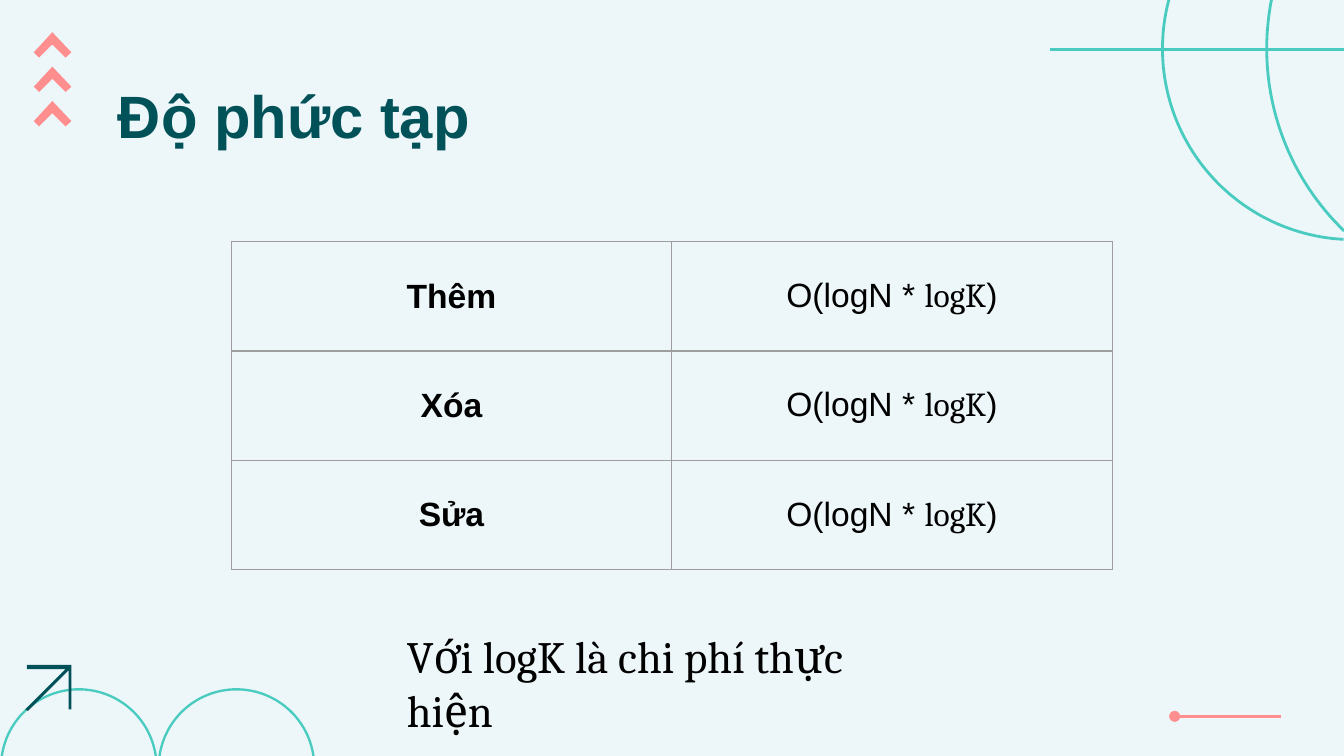
"""Build the complexity slide with its table and line ornaments."""
from math import cos, radians, sin

from lxml import etree
from pptx import Presentation
from pptx.dml.color import RGBColor
from pptx.enum.shapes import MSO_CONNECTOR
from pptx.enum.text import MSO_ANCHOR, MSO_AUTO_SIZE, PP_ALIGN
from pptx.oxml import parse_xml
from pptx.oxml.ns import nsdecls, qn
from pptx.util import Cm, Pt

PALE = RGBColor(0xED, 0xF6, 0xF9)
TEAL = RGBColor(0x49, 0xCC, 0xBF)
DARK = RGBColor(0x00, 0x51, 0x58)
CORAL = RGBColor(0xFF, 0x8F, 0x8F)
BLACK = RGBColor(0, 0, 0)
GREY = RGBColor(0x9E, 0x9E, 0x9E)
STRAIGHT = MSO_CONNECTOR.STRAIGHT
CENTER = PP_ALIGN.CENTER
LEFT = PP_ALIGN.LEFT
TOP = MSO_ANCHOR.TOP
MIDDLE = MSO_ANCHOR.MIDDLE
FIXED = MSO_AUTO_SIZE.NONE


def write(frame, text, font="Arial", size=18, color=BLACK, bold=False, align=LEFT):
    line = frame.paragraphs[0]
    line.alignment = align
    run = line.add_run()
    run.text = text
    run.font.name = font
    run.font.size = Pt(size)
    run.font.color.rgb = color
    run.font.bold = bold


def draw(points, color, width=0):
    spots = [(Cm(x), Cm(y)) for x, y in points]
    path = slide.shapes.build_freeform(*spots[0])
    path.add_line_segments(spots[1:], close=not width)
    shape = path.convert_to_shape()
    shape.shadow.inherit = False
    if width:
        shape.fill.background()
        shape.line.color.rgb = color
        shape.line.width = Pt(width)
    else:
        shape.fill.solid()
        shape.fill.fore_color.rgb = color
        shape.line.fill.background()


deck = Presentation()
deck.slide_width = Cm(25.4)
deck.slide_height = Cm(14.29)
slide = deck.slides.add_slide(deck.slide_layouts[5])
slide.background.fill.solid()
slide.background.fill.fore_color.rgb = PALE

arcs = [
    (25.58, 0.92, 3.61, 93, 194.8, 1.5),
    (28.73, 0.92, 4.79, 134, 191.1, 1.5),
    (1.49, 14.5, 1.47, 188, 352, 1.25),
    (4.47, 14.5, 1.47, 188, 352, 1.25),
]
for mid, base, size, start, end, width in arcs:
    turns = [radians(start + (end - start) * step / 60) for step in range(61)]
    draw([(mid + size * cos(t), base + size * sin(t)) for t in turns], TEAL, width)

arrow = [(0.51, 12.57), (0.51, 12.65), (1.24, 12.65), (0.48, 13.41), (0.53, 13.44),
         (1.3, 12.67), (1.3, 13.41), (1.35, 13.41), (1.35, 12.57)]
draw(arrow, DARK)

chevron = [(0.74, 0.48), (0.64, 0.38), (0.99, 0), (1.35, 0.38), (1.24, 0.48), (0.99, 0.23)]
for row in range(3):
    draw([(x, y + 0.61 + 0.65 * row) for x, y in chevron], CORAL)

for left, right, top, color, dot in [(19.84, 25.4, 0.93, TEAL, False),
                                     (22.2, 24.2, 13.54, CORAL, True)]:
    rule = slide.shapes.add_connector(STRAIGHT, Cm(left), Cm(top), Cm(right), Cm(top))
    rule.line.color.rgb = color
    rule.line.width = Pt(1.5)
    etree.SubElement(rule._element.spPr, qn("a:effectLst"))
    if dot:
        etree.SubElement(rule.line._get_or_add_ln(), qn("a:headEnd"), type="oval")

title = slide.shapes.title
title.left, title.top, title.width, title.height = Cm(1.98), Cm(1.24), Cm(21.44), Cm(1.6)
frame = title.text_frame
frame.auto_size = FIXED
frame.vertical_anchor = TOP
frame.margin_left = frame.margin_right = frame.margin_top = frame.margin_bottom = Cm(0.25)
write(frame, "Độ phức tạp", size=32, color=DARK, bold=True)

names = ["Thêm", "Xóa", "Sửa"]
grid = slide.shapes.add_table(3, 2, Cm(4.37), Cm(4.57), Cm(16.65), Cm(6.2)).table
grid.first_row = False
grid.horz_banding = False
for row, name in enumerate(names):
    label, cost = grid.cell(row, 0), grid.cell(row, 1)
    write(label.text_frame, name, bold=True, align=CENTER)
    for text, font in [("O(logN * ", "Arial"), ("logK", "Cambria"), (")", "Arial")]:
        write(cost.text_frame, text, font=font, align=CENTER)
    for cell in (label, cost):
        cell.vertical_anchor = MIDDLE
        props = cell._tc.get_or_add_tcPr()
        for side in ("lnL", "lnR", "lnT", "lnB"):
            props.append(parse_xml(
                f'<a:{side} {nsdecls("a")} w="{Pt(0.75)}"><a:solidFill>'
                f'<a:srgbClr val="{GREY}"/></a:solidFill></a:{side}>'))
        cell.fill.background()

note = slide.shapes.add_textbox(Cm(7.44), Cm(11.76), Cm(10.54), Cm(1.27)).text_frame
note.word_wrap = True
write(note, "Với logK là chi phí thực hiện", font="Cambria", size=24)

deck.save("out.pptx")
